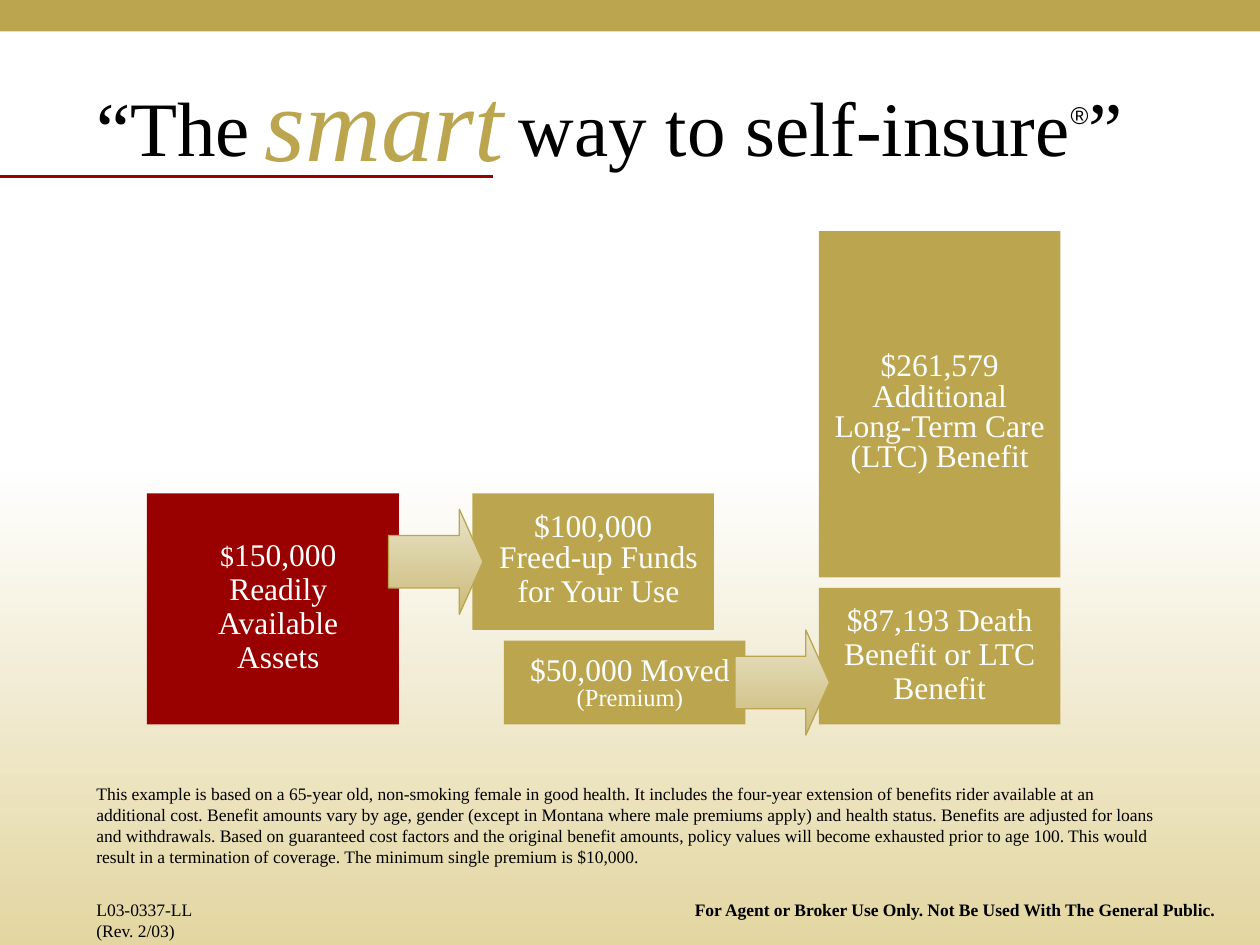
from lxml import etree
from pptx import Presentation
from pptx.dml.color import RGBColor
from pptx.enum.shapes import MSO_CONNECTOR, MSO_SHAPE
from pptx.enum.text import PP_ALIGN
from pptx.oxml.ns import qn
from pptx.util import Emu, Pt

RECTANGLE = MSO_SHAPE.RECTANGLE
ARROW = MSO_SHAPE.RIGHT_ARROW
STRAIGHT = MSO_CONNECTOR.STRAIGHT
LEFT = PP_ALIGN.LEFT
CENTER = PP_ALIGN.CENTER

SCALE = 7620
WIDTH, HEIGHT = 1200, 900
SERIF = "Times New Roman"
GOLD, RED, WHITE, BLACK = "BBA64F", "990000", "FFFFFF", "000000"
DISCLAIMER = (
    "This example is based on a 65-year old, non-smoking female in good health. "
    "It includes the four-year extension of benefits rider available at an additional cost. "
    "Benefit amounts vary by age, gender (except in Montana where male premiums apply) "
    "and health status. Benefits are adjusted for loans and withdrawals. "
    "Based on guaranteed cost factors and the original benefit amounts, policy values will "
    "become exhausted prior to age 100. This would result in a termination of coverage. "
    "The minimum single premium is $10,000."
)


def px(value):
    return Emu(value * SCALE)


def color(value):
    return RGBColor.from_string(value)


def add_block(slide, box, fill, kind=RECTANGLE):
    shape = slide.shapes.add_shape(kind, *map(px, box))
    shape.shadow.inherit = False
    shape.line.fill.background()
    if isinstance(fill, str):
        shape.fill.solid()
        shape.fill.fore_color.rgb = color(fill)
    else:
        shape.fill.gradient()
        shape.fill.gradient_angle = 270
        for stop, position, value in zip(shape.fill.gradient_stops, (0, 1), fill):
            stop.position = position
            stop.color.rgb = color(value)
    return shape


def add_arrow(slide, left, top):
    arrow = add_block(slide, (left, top, 90, 100), ("E9E3C9", "CBBB79"), ARROW)
    arrow.adjustments[0] = 0.5
    arrow.adjustments[1] = 0.25
    arrow.line.color.rgb = color(GOLD)
    arrow.line.width = Pt(0.75)


def add_text(slide, box, runs, fill=BLACK, align=LEFT, spacing=None, tab=None):
    frame = slide.shapes.add_textbox(*map(px, box)).text_frame
    frame.word_wrap = True
    paragraph = frame.paragraphs[0]
    paragraph.alignment = align
    if spacing:
        paragraph.line_spacing = spacing
    if tab:
        tabs = etree.SubElement(paragraph._p.get_or_add_pPr(), qn("a:tabLst"))
        etree.SubElement(tabs, qn("a:tab"), pos=str(px(tab)), algn="l")
    for text, size in runs:
        run = paragraph.add_run()
        run.text = text
        run.font.size = Pt(size)
        run.font.name = SERIF
        run.font.color.rgb = color(fill)
    return paragraph


def add_label(slide, box, runs, spacing=0.9):
    add_text(slide, box, runs, WHITE, CENTER, spacing)


def add_background(slide):
    half = HEIGHT // 2
    add_block(slide, (0, half, WIDTH, half), ("FEFEFE", "E3D6A1"))
    add_block(slide, (0, 0, WIDTH, 30), GOLD)


def add_title(slide, left, top):
    rule = slide.shapes.add_connector(
        STRAIGHT, px(0), px(top + 98), px(470), px(top + 98))
    rule.line.color.rgb = color(RED)
    rule.line.width = Pt(1.5)
    etree.SubElement(rule._element.spPr, qn("a:effectLst"))
    title = add_text(
        slide, (left, top, 1060, 101),
        [("“The\tway to self-insure", 44), ("®", 24), ("”", 44)], tab=402)
    mark = title.runs[1].font
    mark.name = "Arial"
    mark._element.set("baseline", "76000")
    smart = add_text(slide, (left + 160, top - 22, 300, 132), [("smart", 60)], GOLD)
    smart.runs[0].font.italic = True


def add_assets(slide, left, top):
    add_block(slide, (left, top, 240, 220), RED)
    add_label(slide, (left + 20, top + 38, 210, 142),
              [("$", 16), ("150,000 Readily Available Assets", 18)])


def add_funds(slide, left, top):
    add_block(slide, (left + 30, top + 140, 230, 80), GOLD)
    add_block(slide, (left, top, 230, 130), GOLD)
    add_label(slide, (left, top + 40, 240, 80), [("Freed-up Funds for Your Use", 18)])
    add_arrow(slide, left - 80, top + 15)
    add_label(slide, (left + 30, top + 150, 240, 64),
              [("$50,000 Moved ", 18), ("(Premium)", 14)], 0.8)
    add_label(slide, (left, top + 10, 230, 44), [("$100,000", 18)])


def add_benefits(slide, left, top):
    add_block(slide, (left, top + 340, 230, 130), GOLD)
    add_block(slide, (left, top, 230, 330), GOLD)
    add_label(slide, (left, top + 110, 230, 127),
              [("$261,579 Additional Long-Term Care (LTC) Benefit", 18)], 0.8)
    add_label(slide, (left, top + 350, 230, 109),
              [("$87,193 Death Benefit or LTC Benefit", 18)])
    add_arrow(slide, left - 80, top + 380)


def add_notices(slide, left, top):
    add_text(slide, (left, top, 1040, 92), [(DISCLAIMER, 10)])
    notice = add_text(
        slide, (left + 570, top + 110, 530, 32),
        [("For Agent or Broker Use Only. Not Be Used With The General Public.", 10)])
    notice.runs[0].font.bold = True
    add_text(slide, (left, top + 110, 150, 30), [("L03-0337-LL (Rev. 2/03)", 10)])


def main():
    presentation = Presentation()
    presentation.slide_width = px(WIDTH)
    presentation.slide_height = px(HEIGHT)
    slide = presentation.slides.add_slide(presentation.slide_layouts[6])
    add_background(slide)
    add_title(slide, 80, 70)
    add_assets(slide, 140, 470)
    add_funds(slide, 450, 470)
    add_benefits(slide, 780, 220)
    add_notices(slide, 80, 740)
    presentation.save("out.pptx")


if __name__ == "__main__":
    main()
